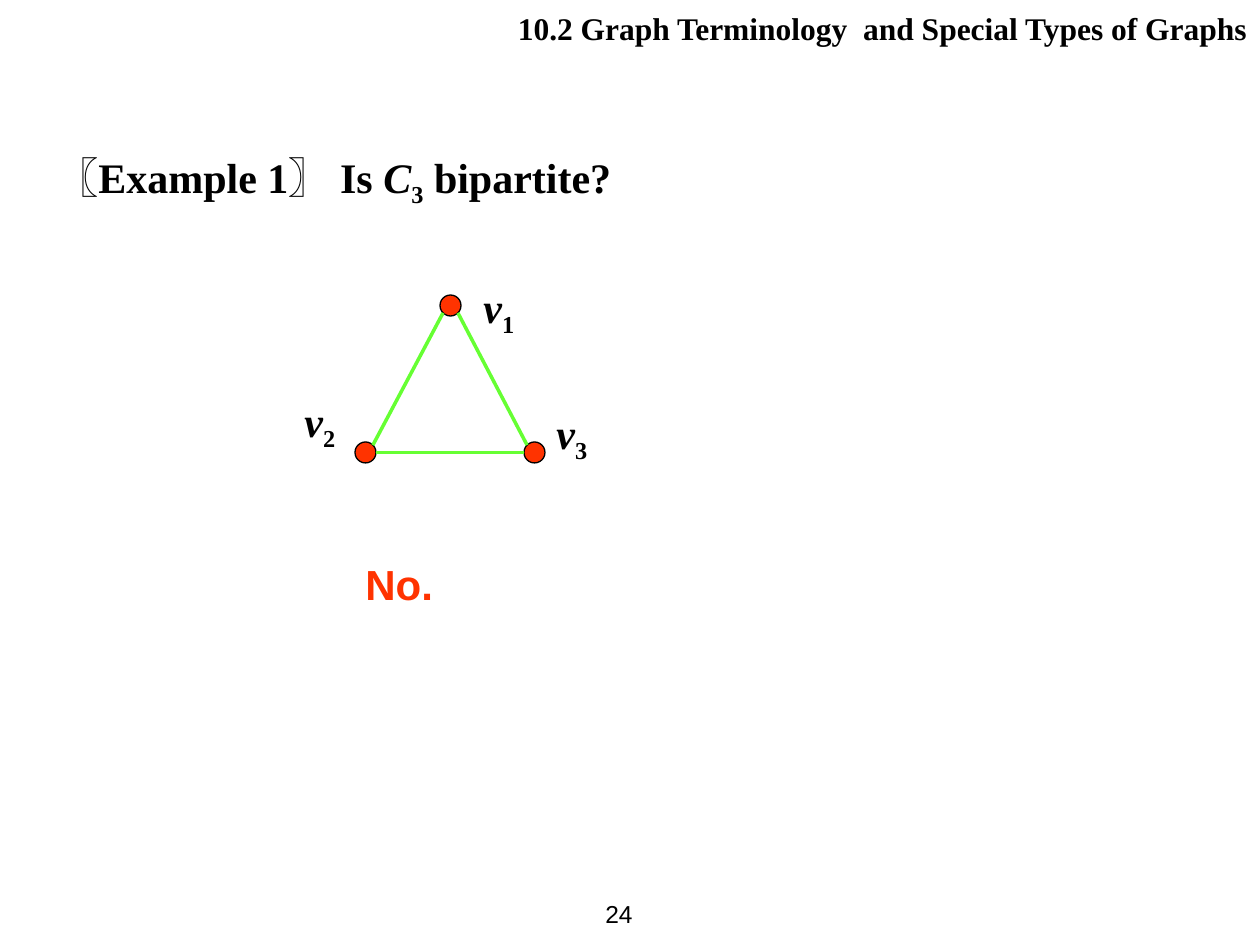
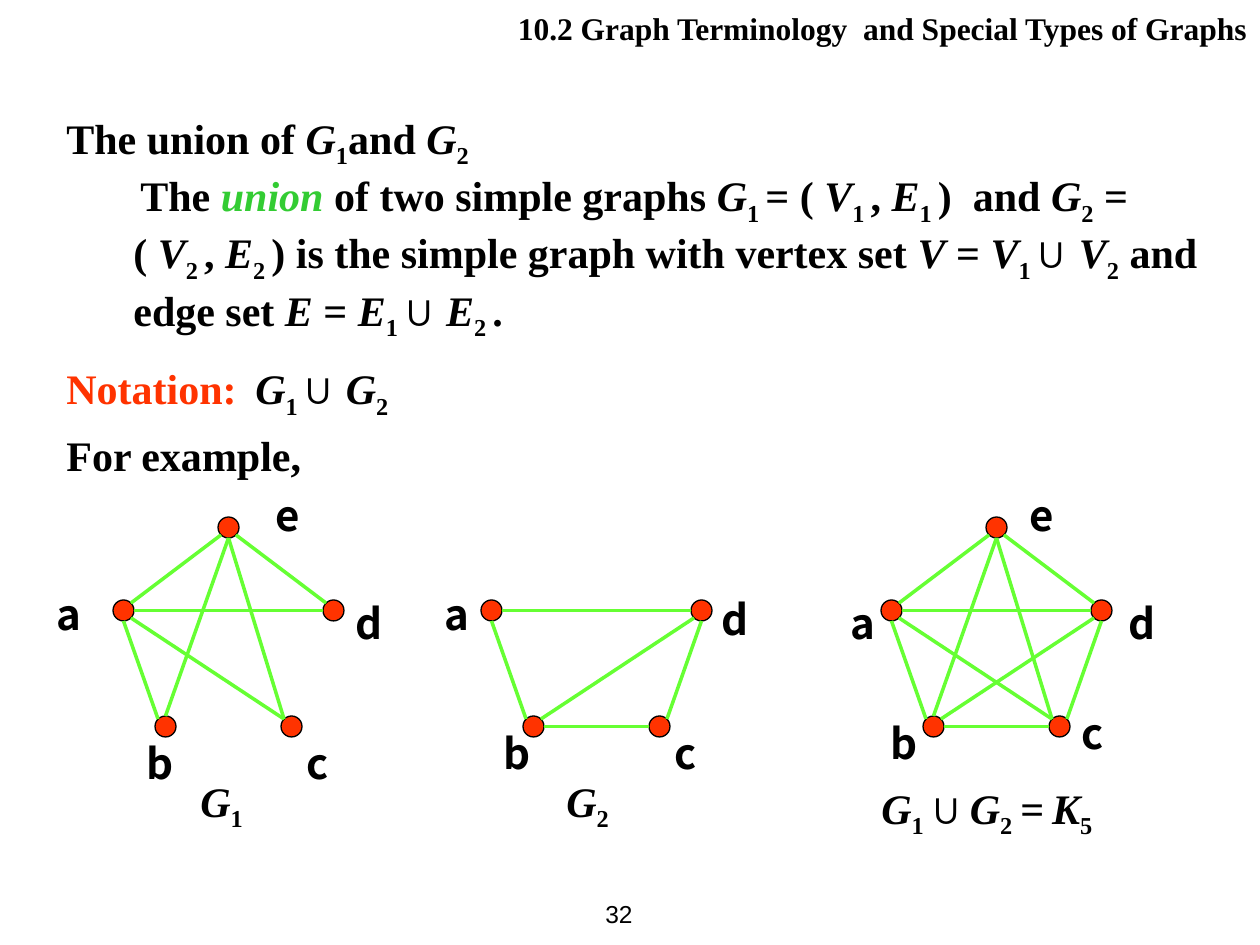
from math import cos, pi, sin

from lxml.etree import SubElement
from pptx import Presentation
from pptx.dml.color import RGBColor
from pptx.enum.shapes import MSO_CONNECTOR, MSO_SHAPE
from pptx.enum.text import MSO_ANCHOR, MSO_AUTO_SIZE, PP_ALIGN
from pptx.oxml.ns import qn
from pptx.util import Emu, Pt

SCALE = 914400 / 126
INK = {"text": "000000", "node": "FF3300", "edge": "66FF33", "term": "33CC33"}
SERIF, SANS, CJK = "Times New Roman", "Arial", "Noto Sans CJK SC"
BASE = {"name": SERIF, "size": Pt(24), "bold": True, "italic": False}
STYLE = {
    "n": {},
    "i": {"italic": True},
    "s": {"base": -25000},
    "a": {"name": SANS},
    "g": {"name": SANS, "size": Pt(28), "bold": False, "base": -25000},
    "u": {"italic": True, "ink": "term"},
    "r": {"ink": "node"},
    "x": {"name": SANS, "ink": "node"},
    "l": {"name": CJK},
    "h": {"size": Pt(18)},
    "p": {"name": SANS, "size": Pt(14), "bold": False},
}
NODE = 21
HEAD = "h10.2 Graph Terminology  and Special Types of Graphs"
TRIO = {"1": (85, 0), "2": (0, 147), "3": (169, 147)}
RING = {"a": (0, 83), "b": (42, 199), "c": (168, 199),
        "d": (210, 83), "e": (105, 0)}
QUAD = {key: RING[key] for key in "abcd"}
STAR = "a4b1 d1e5 a7e3 e4b0 e4c1 a6d2 a5c1"
KITE = "a4b1 b6c2 c7d4 a6d2 b7d3"
FULL = STAR + " b6c2 c7d4 b7d3"
UNION = [
    ("nThe union of |iG|s1|nand|i G|s2", {}),
    ("nThe |uunion|n of two simple graphs |iG|s1 |n= ( |iV|s1 |n,|i E|s1 "
     "|n)  and |iG|s2|n = ( |iV|s2 |n,|i E|s2 |n) is the simple graph with "
     "vertex set |iV|n = |iV|s1 |a∪ |iV|s2|n and edge set |iE|n = |iE|s1 "
     "|a∪ |iE|s2 |n.", {"left": 67, "first": 7}),
    ("rNotation:\t|iG|s1 |a∪ |iG|s2", {"before": 12, "tab": 223}),
]


def px(*nums):
    """Turn px lengths into EMU."""
    return [Emu(round(num * SCALE)) for num in nums]


def color(ink):
    """Look up a colour by its name."""
    return RGBColor.from_string(INK[ink])


def write(para, text, align=PP_ALIGN.LEFT, left=0, first=0, before=0, tab=0):
    """Fill a paragraph with runs, each led by its style key."""
    props = para._p.get_or_add_pPr()
    for name, num in (("marL", left), ("indent", first)):
        props.set(name, str(px(num)[0]))
    if tab:
        stops = SubElement(props, qn("a:tabLst"))
        SubElement(stops, qn("a:tab"), pos=str(px(tab)[0]), algn="l")
    para.alignment = align
    if before:
        para.space_before = Pt(before)
    for part in text.split("|"):
        run = para.add_run()
        run.text = part[1:]
        form = {**BASE, "ink": "text", "base": 0, **STYLE[part[0]]}
        run.font.color.rgb = color(form.pop("ink"))
        base = form.pop("base")
        for name, value in form.items():
            setattr(run.font, name, value)
        if base:
            run._r.get_or_add_rPr().set("baseline", str(base))


def label(shapes, box, paras, align=PP_ALIGN.LEFT, anchor=MSO_ANCHOR.TOP):
    """Add a text box holding one text or several laid-out ones."""
    frame = shapes.add_textbox(*px(*box)).text_frame
    frame.word_wrap = True
    frame.vertical_anchor = anchor
    if isinstance(paras, str):
        paras = [(paras, {"align": align})]
    for num, (text, form) in enumerate(paras):
        para = frame.add_paragraph() if num else frame.paragraphs[0]
        write(para, text, **form)


def frame(deck, page):
    """Start a slide with its running title and page number."""
    slide = deck.slides.add_slide(deck.slide_layouts[5])
    title = slide.shapes.title
    form = dict(zip(("left", "top", "width", "height"), px(501, 3, 759, 88)))
    for name, value in form.items():
        setattr(title, name, value)
    body = title.text_frame
    for name, value in {"word_wrap": True, "auto_size": MSO_AUTO_SIZE.NONE,
                        "vertical_anchor": MSO_ANCHOR.TOP}.items():
        setattr(body, name, value)
    write(body.paragraphs[0], HEAD, PP_ALIGN.RIGHT)
    label(slide.shapes, (561, 882, 84, 63), f"p{page}", PP_ALIGN.RIGHT,
          MSO_ANCHOR.MIDDLE)
    return slide


def site(spot, num):
    """Find one of eight points on a node's rim, counted from the top."""
    turn = pi / 2 + int(num) * pi / 4
    half = NODE / 2
    return (spot[0] + half + half * cos(turn),
            spot[1] + half - half * sin(turn))


def graph(slide, x, y, nodes, edges):
    """Draw a graph's nodes and edges as a group."""
    shapes = slide.shapes.add_group_shape().shapes
    spots = {key: (x + dx, y + dy) for key, (dx, dy) in nodes.items()}
    for spot in spots.values():
        dot = shapes.add_shape(MSO_SHAPE.FLOWCHART_CONNECTOR,
                               *px(*spot, NODE, NODE))
        dot.shadow.inherit = False
        dot.fill.solid()
        dot.fill.fore_color.rgb = color("node")
        dot.line.color.rgb = color("text")
        dot.line.width = Pt(0.75)
    for start, out, end, into in edges.split():
        line = shapes.add_connector(
            MSO_CONNECTOR.STRAIGHT,
            *px(*site(spots[start], out), *site(spots[end], into)))
        line.line.color.rgb = color("edge")
        line.line.width = Pt(2)
        SubElement(line._element.spPr, qn("a:effectLst"))


def figure(slide, x, nodes, edges, tags, name, shift, width):
    """Draw a lettered graph with its caption below."""
    y = 517
    graph(slide, x, y, nodes, edges)
    for key, (dx, dy) in zip(nodes, tags):
        label(slide.shapes, (x + dx, y + dy, 49, 63), f"l{key}",
              PP_ALIGN.RIGHT)
    label(slide.shapes, (x + shift, y + 252, width, 75), name)


def example(deck):
    """Build the slide that asks about the triangle."""
    slide = frame(deck, 24)
    label(slide.shapes, (44, 145, 1144, 71),
          "a〖|nExample 1|a〗 |nIs |iC|s3|n bipartite?")
    x, y = 355, 295
    graph(slide, x, y, TRIO, "2713 2632 3115")
    for key, (dx, dy) in zip(TRIO, [(116, -20), (-63, 94), (189, 106)]):
        label(slide.shapes, (x + dx, y + dy, 95, 71), f"iv|s{key}")
    label(slide.shapes, (353, 552, 474, 69), "xNo.")


def union(deck):
    """Build the slide that defines and shows the union of graphs."""
    slide = frame(deck, 32)
    label(slide.shapes, (54, 106, 1160, 320), UNION)
    label(slide.shapes, (54, 423, 1144, 63), "nFor example,")
    figure(slide, 113, RING, STAR,
           [(-69, 65), (21, 214), (179, 214), (230, 74), (150, -34)],
           "iG|s1", 75, 89)
    figure(slide, 481, QUAD, KITE,
           [(-49, 65), (10, 204), (179, 204), (228, 70)],
           "iG|s2", 73, 89)
    figure(slide, 881, RING, FULL,
           [(-43, 74), (-3, 194), (186, 184), (235, 74), (136, -34)],
           "iG|s1|g |a∪|g |iG|s2|g |n=|g |iK|s5", -12, 315)


def main():
    """Build the deck and save it."""
    deck = Presentation()
    deck.slide_width, deck.slide_height = px(1260, 945)
    example(deck)
    union(deck)
    deck.save("out.pptx")


if __name__ == "__main__":
    main()
